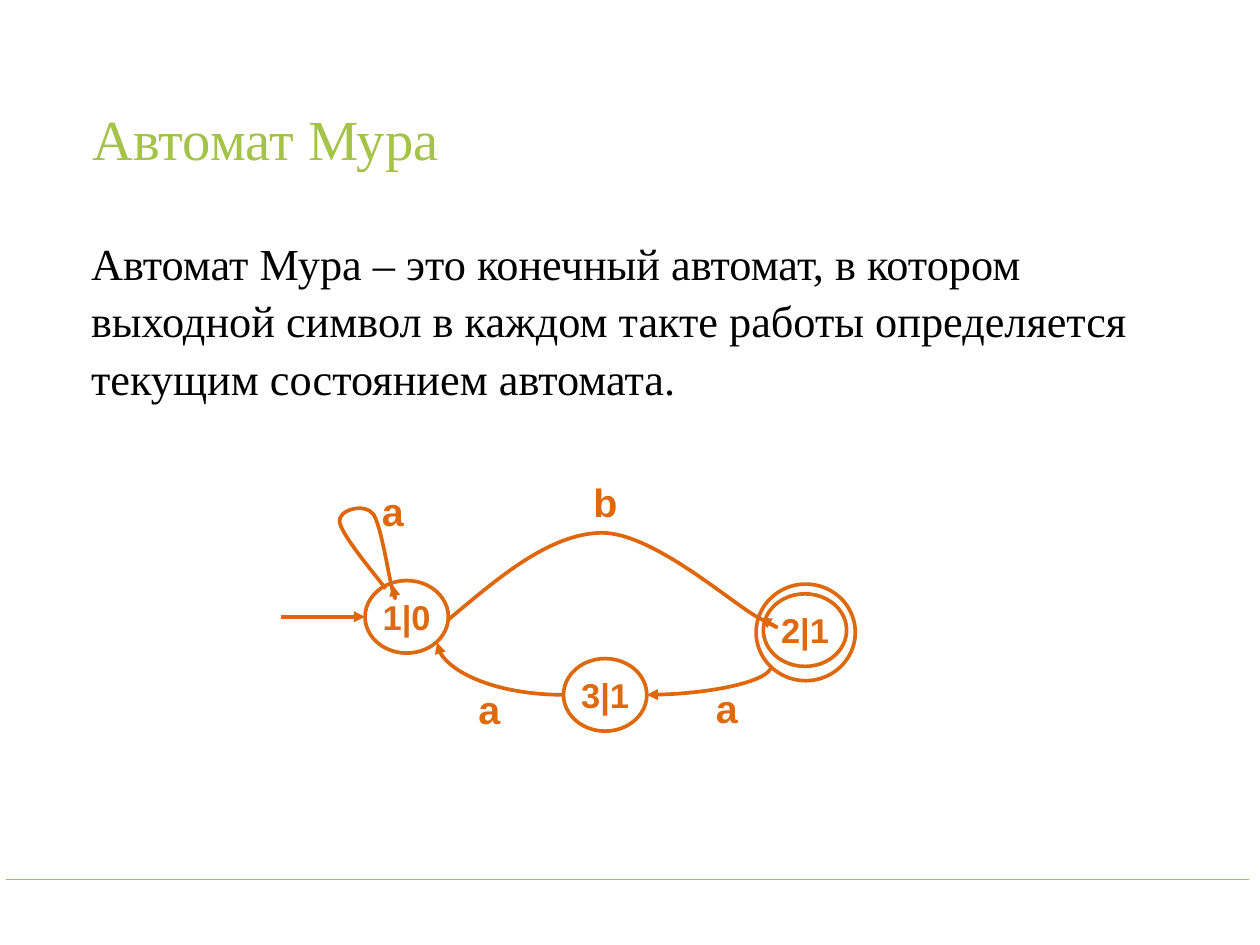
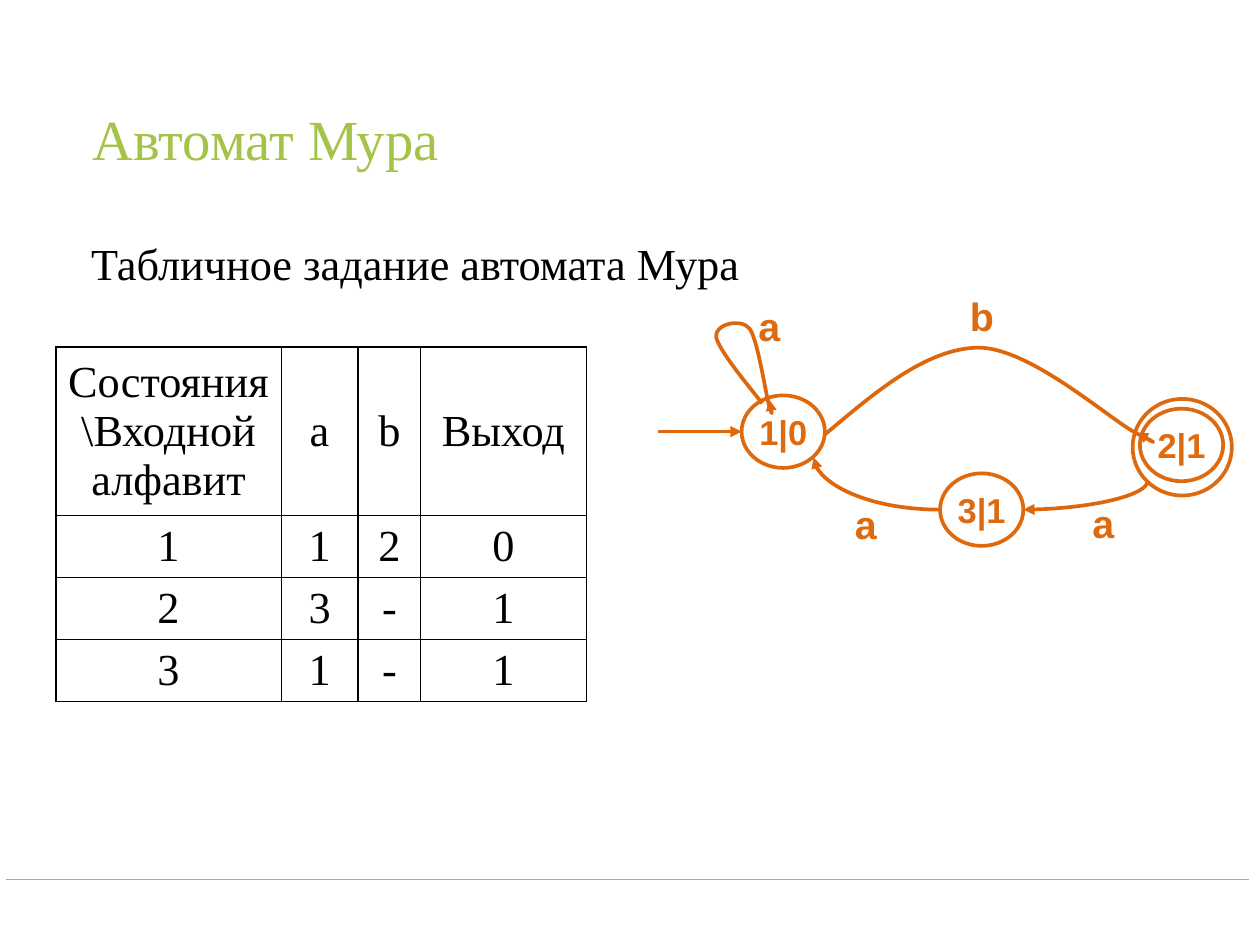
from dataclasses import dataclass

from lxml.etree import SubElement as Sub
from pptx import Presentation
from pptx.dml.color import RGBColor as Rgb
from pptx.enum.shapes import MSO_CONNECTOR as Link, MSO_SHAPE as Kind
from pptx.enum.text import MSO_ANCHOR as Anchor, PP_ALIGN as Align
from pptx.oxml.ns import qn
from pptx.util import Pt


@dataclass(frozen=True)
class Theme:
    """Colours, fonts and type sizes of the deck."""

    title: str = "A5C249"
    rule: str = "A3C044"
    ink: str = "000000"
    paper: str = "FFFFFF"
    node: str = "DE6A10"
    edge: str = "DE670B"
    serif: str = "Times New Roman"
    sans: str = "Arial"
    head: int = 46
    body: int = 36
    mark: int = 32
    state: int = 28
    thick: int = 3
    thin: int = 1


T = Theme()
NODE = (67.7, 59)
LOOP = [(85, 94.3), (67.7, 72.7), (49.7, 50.4), (47.5, 40.3),
        (46.1, 30.2), (67.7, 24.5), (74.9, 33.8),
        (81.4, 43.2), (87.8, 86.4), (90.7, 96.5),
        (93.6, 105.8), (92.2, 98.6), (90.7, 91.4)]
ARC = [(136.1, 119.5), (177.1, 85), (218.2, 49.7), (260.6, 49),
       (302.4, 49), (366.5, 106.6), (388.1, 118.1),
       (409.7, 129.6), (399.6, 123.8), (389.5, 118.1)]
MARKS = [("a", 68.4, 7.9, 44.6), ("b", 226, 0, 74.9),
         ("a", 324.7, 167.8, 74.9), ("a", 131.8, 168.5, 74.9)]
ROWS = [("Состояния\\Входной алфавит", "a", "b", "Выход"),
        ("1", "1", "2", "0"),
        ("2", "3", "-", "1"),
        ("3", "1", "-", "1")]
COLS = [183, 62.5, 51, 134.5]


def write(frame, text, size, color, face, bold=False, align=Align.LEFT):
    """Fill a text frame with one styled paragraph and return it."""
    para = frame.paragraphs[0]
    para.text = text
    para.alignment = align
    font = para.font
    font.size, font.name, font.bold = Pt(size), face, bold
    font.color.rgb = Rgb.from_string(color)
    return para


def setup(frame, inset, anchor, wrap=True):
    """Set the insets, anchor and wrapping of a text frame."""
    frame.margin_left = frame.margin_right = Pt(inset)
    frame.margin_top = frame.margin_bottom = Pt(inset)
    frame.vertical_anchor = anchor
    frame.word_wrap = wrap


def label(shapes, box, text, size, color, face, inset=5,
          anchor=Anchor.MIDDLE, **look):
    """Add a text box and return its paragraph."""
    frame = shapes.add_textbox(*map(Pt, box)).text_frame
    setup(frame, inset, anchor)
    return write(frame, text, size, color, face, **look)


def stroke(shape, color, width, tip=None):
    """Style a line, with an arrowhead at the end named by tip."""
    shape.line.color.rgb = Rgb.from_string(color)
    shape.line.width = Pt(width)
    if tip:
        Sub(shape.line._get_or_add_ln(), qn(f"a:{tip}"), type="triangle")


def link(shapes, kind, ends, color, width, tip=None):
    """Add a connector without a shadow."""
    line = shapes.add_connector(kind, *map(Pt, ends))
    stroke(line, color, width, tip)
    props = line._element.spPr
    Sub(props, qn("a:effectLst"))
    if kind == Link.CURVE:
        props.find(qn("a:prstGeom")).set("prst", "curvedConnector2")
    return line


def join(line, tag, shape, site):
    """Tie a connector end to one of the eight sites of an ellipse."""
    hold = line._element.xpath(".//p:cNvCxnSpPr")[0]
    Sub(hold, qn(f"a:{tag}"), id=str(shape.shape_id), idx=str(site))


def oval(shapes, box, text=""):
    """Add an outlined state ellipse."""
    shape = shapes.add_shape(Kind.OVAL, *map(Pt, box))
    shape.shadow.inherit = False
    shape.fill.solid()
    shape.fill.fore_color.rgb = Rgb.from_string(T.paper)
    stroke(shape, T.node, T.thick)
    if text:
        setup(shape.text_frame, 4.5, Anchor.MIDDLE, False)
        write(shape.text_frame, text, T.state, T.node, T.sans, True,
              Align.CENTER)
    return shape


def curve(shapes, dots):
    """Add an open Bezier arrow through a start and triples of points."""
    dots = [(Pt(x), Pt(y)) for x, y in dots]
    pen = shapes.build_freeform(*dots[0], scale=1.0)
    pen.add_line_segments(dots[1:], close=False)
    shape = pen.convert_to_shape()
    shape.shadow.inherit = False
    shape.fill.background()
    stroke(shape, T.edge, T.thick, "tailEnd")
    track = shape._element.xpath(".//a:path")[0]
    legs = track.findall(qn("a:lnTo"))
    for i in range(0, len(legs), 3):
        bend = Sub(track, qn("a:cubicBezTo"))
        for leg in legs[i:i + 3]:
            bend.append(leg[0])
            track.remove(leg)


def graph(slide, left, top):
    """Draw the state graph as a group with its corner at left, top."""
    shapes = slide.shapes.add_group_shape().shapes

    def move(*spots):
        """Shift x, y pairs to the corner of the graph."""
        return [v + (top if i % 2 else left) for i, v in enumerate(spots)]

    def shift(dots):
        """Shift a list of points."""
        return [move(*dot) for dot in dots]

    ring = oval(shapes, move(386, 90.7) + [80.6, 78.5])
    one, two, three = [
        oval(shapes, move(x, y) + list(NODE), text)
        for text, x, y in [("1|0", 68.2, 87.8), ("2|1", 391.9, 98.6),
                           ("3|1", 229.5, 151.2)]]
    curve(shapes, shift(LOOP))
    curve(shapes, shift(ARC))
    start = link(shapes, Link.STRAIGHT, move(0, 117.3, 68.2, 117.3),
                 T.edge, T.thick, "tailEnd")
    join(start, "endCxn", one, 2)
    for ends, tip, src, out, dst, site in [
            ((297.2, 180.7, 398.2, 157.4), "headEnd", three, 6, ring, 3),
            ((229.5, 180.7, 126.7, 138.2), "tailEnd", three, 2, one, 5)]:
        line = link(shapes, Link.CURVE, move(*ends), T.edge, T.thick, tip)
        join(line, "stCxn", src, out)
        join(line, "endCxn", dst, site)
    for text, x, y, width in MARKS:
        label(shapes, move(x, y) + [width, 46.8], text, T.mark, T.node,
              T.sans, 4.5, bold=True, align=Align.CENTER)


def border(cell):
    """Give a cell thin lines on all sides."""
    props = cell._tc.get_or_add_tcPr()
    for i, side in enumerate(("lnL", "lnR", "lnT", "lnB")):
        line = props.makeelement(qn(f"a:{side}"), {"w": str(Pt(T.thin))})
        Sub(Sub(line, qn("a:solidFill")), qn("a:srgbClr"), val=T.ink)
        props.insert(i, line)


def grid(slide, left, top):
    """Add the transition table."""
    highs = [127] + [47] * (len(ROWS) - 1)
    box = (left, top, sum(COLS), sum(highs))
    table = slide.shapes.add_table(len(ROWS), len(COLS),
                                   *map(Pt, box)).table
    table.first_row = table.horz_banding = False
    for col, width in zip(table.columns, COLS):
        col.width = Pt(width)
    for row, high, texts in zip(table.rows, highs, ROWS):
        row.height = Pt(high)
        for cell, text in zip(row.cells, texts):
            cell.fill.background()
            cell.vertical_anchor = Anchor.MIDDLE
            write(cell.text_frame, text, T.body, T.ink, T.serif,
                  align=Align.CENTER)
            border(cell)


def page(deck, title, text):
    """Add a slide with its title, rule and body text."""
    slide = deck.slides.add_slide(deck.slide_layouts[6])
    shapes = slide.shapes
    head = label(shapes, (70.5, 41, 883.5, 148.5), title, T.head, T.title,
                 T.serif)
    head.line_spacing = 0.9
    link(shapes, Link.STRAIGHT, (4.5, 715, 1015, 715), T.rule, T.thin)
    body = label(shapes, (69, 183.5, 902, 564), text, T.body, T.ink,
                 T.serif, anchor=Anchor.TOP)
    body.line_spacing = 1.08
    return slide


def main():
    """Build and save the deck."""
    deck = Presentation()
    deck.slide_width, deck.slide_height = Pt(1024), Pt(768)
    title = "Автомат Мура"
    first = page(deck, title,
                 "Автомат Мура – это конечный автомат, в котором выходной "
                 "символ в каждом такте работы определяется текущим "
                 "состоянием автомата.")
    graph(first, 228.5, 384)
    second = page(deck, title, "Табличное задание автомата Мура")
    grid(second, 45.5, 282)
    graph(second, 534.5, 233.5)
    deck.save("out.pptx")


if __name__ == "__main__":
    main()
